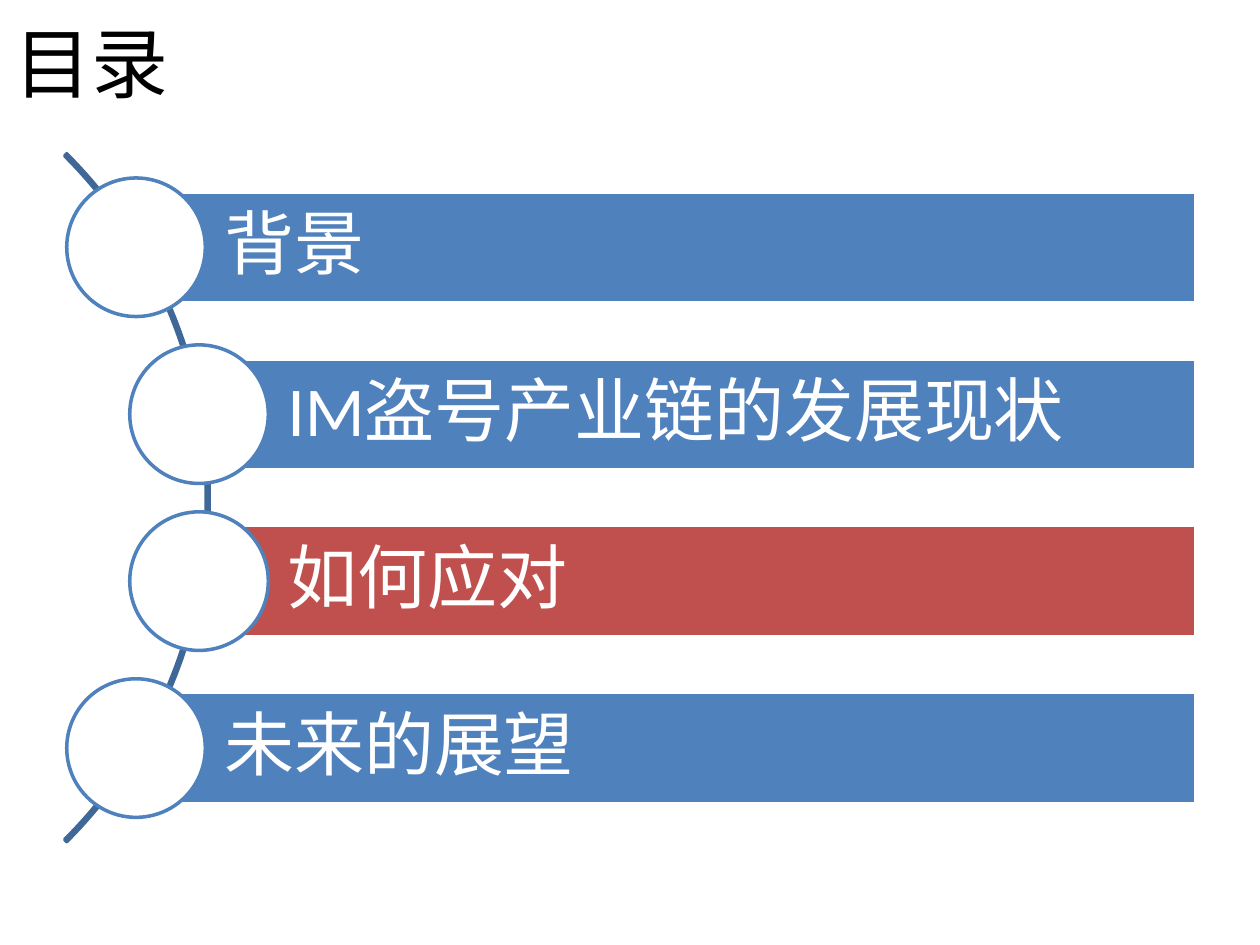
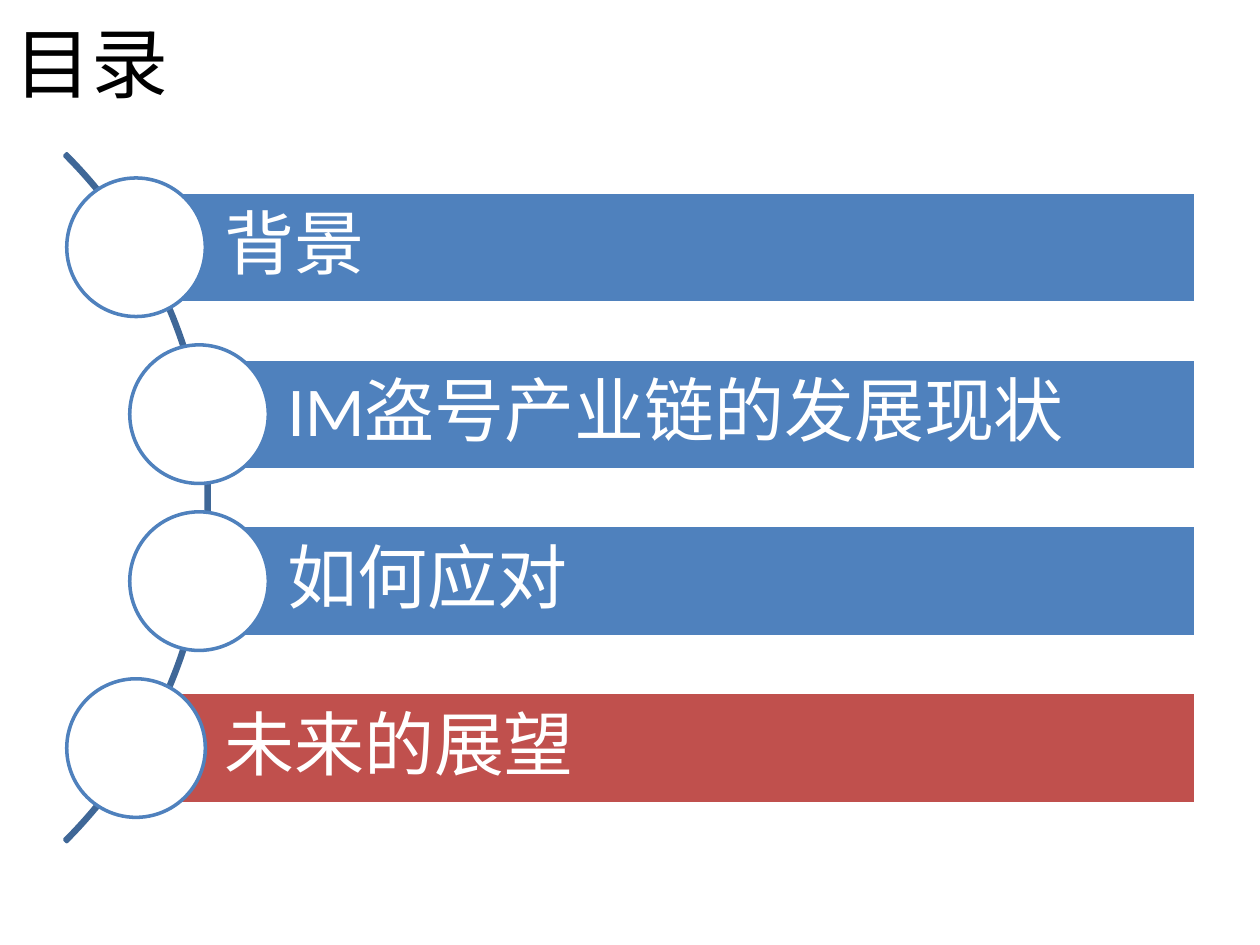
from lxml.etree import SubElement
from pptx import Presentation
from pptx.dml.color import RGBColor
from pptx.enum.shapes import MSO_SHAPE
from pptx.enum.text import MSO_ANCHOR, PP_ALIGN
from pptx.oxml.ns import qn
from pptx.util import Inches, Pt

HUES = {
    "ink": "000000",
    "paper": "FFFFFF",
    "bar": "4F81BD",
    "focus": "C0504D",
    "arc": "3F6797",
}
LATIN, HAN = "Calibri", "Noto Sans CJK SC"
WIDE, HIGH = 10, 7.5

TITLE = "目录"
# Each topic with the centre of its circle across the slide
TOPICS = [
    ("背景", 1.08),
    ("IM盗号产业链的发展现状", 1.58),
    ("如何应对", 1.58),
    ("未来的展望", 1.08),
]
MID = 3.95                          # height of the centre of the list
PITCH = 0.53 * HIGH / (len(TOPICS) - 1)
BAR = 0.88
RIGHT = 0.95 * WIDE - 0.01
DISC = BAR * 1.25
ARC = 7.72
ARC_LEFT = -6.06


def hue(name):
    return RGBColor.from_string(HUES[name])


def write(frame, text, size, color, font):
    frame.word_wrap = True
    frame.vertical_anchor = MSO_ANCHOR.MIDDLE
    para = frame.paragraphs[0]
    para.alignment = PP_ALIGN.LEFT
    run = para.add_run()
    run.text = text
    run.font.size = Pt(size)
    run.font.name = font
    run.font.color.rgb = hue(color)
    SubElement(run.font._element, qn("a:ea")).set("typeface", HAN)
    return para


def add_form(slide, kind, box, fill, line):
    """Add a preset shape; a fill of None leaves it hollow."""
    form = slide.shapes.add_shape(kind, *map(Inches, box))
    form.shadow.inherit = False
    if fill:
        form.fill.solid()
        form.fill.fore_color.rgb = hue(fill)
    else:
        form.fill.background()
    form.line.color.rgb = hue(line)
    form.line.width = Pt(2)
    return form


def add_title(slide):
    box = slide.shapes.add_textbox(*map(Inches, (0.02, 0.06, 0.9 * WIDE, 0.86)))
    write(box.text_frame, TITLE, 44, "ink", HAN)


def add_arc(slide):
    box = (ARC_LEFT, MID - ARC / 2, ARC, ARC)
    arc = add_form(slide, MSO_SHAPE.BLOCK_ARC, box, None, "arc")
    for i, value in enumerate((189, 27, 0.003)):
        arc.adjustments[i] = value


def add_topic(slide, text, left, mid, fill):
    bar = add_form(slide, MSO_SHAPE.RECTANGLE,
                   (left, mid - BAR / 2, RIGHT - left, BAR), fill, "paper")
    frame = bar.text_frame
    frame.margin_left = Inches(0.7)
    frame.margin_top = frame.margin_right = frame.margin_bottom = Inches(0.11)
    write(frame, text, 40, "paper", LATIN).line_spacing = 0.9
    add_form(slide, MSO_SHAPE.OVAL,
             (left - DISC / 2, mid - DISC / 2, DISC, DISC), "paper", "bar")


def add_agenda(deck, focus):
    """Add a contents slide with one topic marked."""
    slide = deck.slides.add_slide(deck.slide_layouts[6])
    add_title(slide)
    add_arc(slide)
    first = MID - PITCH * (len(TOPICS) - 1) / 2
    for i, (text, left) in enumerate(TOPICS):
        fill = "focus" if i == focus else "bar"
        add_topic(slide, text, left, first + i * PITCH, fill)


def main():
    deck = Presentation()
    deck.slide_width, deck.slide_height = Inches(WIDE), Inches(HIGH)
    for focus in (2, 3):
        add_agenda(deck, focus)
    deck.save("out.pptx")


if __name__ == "__main__":
    main()
